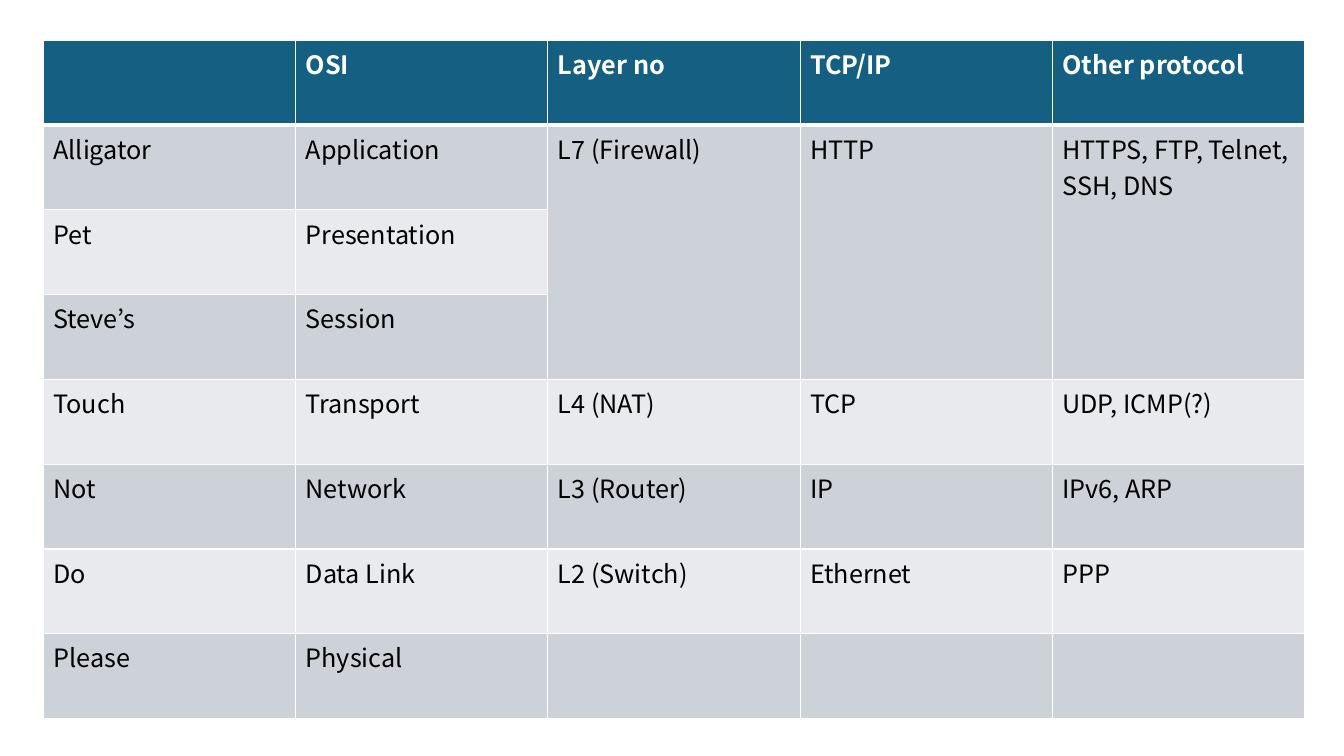
from lxml import etree
from pptx import Presentation
from pptx.dml.color import RGBColor
from pptx.oxml import ns
from pptx.util import Inches, Pt

FONT = "Noto Sans CJK KR"
WHITE, BLACK, HEADER = "FFFFFF", "000000", "156082"
BANDS = ("CCD2D8", "E8EAED")
LAYERS = [
    ("", "OSI", "Layer no", "TCP/IP", "Other protocol"),
    ("Alligator", "Application", "L7 (Firewall)", "HTTP", "HTTPS, FTP, Telnet, SSH, DNS"),
    ("Pet", "Presentation", "", "", ""),
    ("Steve’s", "Session", "", "", ""),
    ("Touch", "Transport", "L4 (NAT)", "TCP", "UDP, ICMP(?)"),
    ("Not", "Network", "L3 (Router)", "IP", "IPv6, ARP"),
    ("Do", "Data Link", "L2 (Switch)", "Ethernet", "PPP"),
    ("Please", "Physical", "", "", ""),
]


def color(value):
    """Turn a hex string into a colour."""
    return RGBColor.from_string(value)


def set_borders(cell, bottom_width):
    """Draw white lines around a cell, with its own bottom width."""
    properties = cell._tc.get_or_add_tcPr()
    for place, side in enumerate(("lnL", "lnR", "lnT", "lnB")):
        width = bottom_width if side == "lnB" else 1
        line = etree.Element(ns.qn(f"a:{side}"), w=str(Pt(width)))
        fill = etree.SubElement(line, ns.qn("a:solidFill"))
        etree.SubElement(fill, ns.qn("a:srgbClr"), val=WHITE)
        properties.insert(place, line)


def fill_cell(cell, words, row):
    """Write and format one cell according to its row."""
    is_header = row == 0
    cell.fill.solid()
    cell.fill.fore_color.rgb = color(HEADER if is_header else BANDS[(row - 1) % 2])
    set_borders(cell, 3 if is_header else 1)
    cell.text_frame.text = words
    font = cell.text_frame.paragraphs[0].font
    font.size = Pt(18)
    for run in cell.text_frame.paragraphs[0].runs:
        run.font.name = FONT
        run.font.size = Pt(18)
        run.font.bold = is_header
        run.font.color.rgb = color(WHITE if is_header else BLACK)


def add_layer_table(slide, left, top, width, height):
    """Place the table of network layers in the given box."""
    row_count, column_count = len(LAYERS), len(LAYERS[0])
    table = slide.shapes.add_table(
        row_count, column_count, Inches(left), Inches(top), Inches(width), Inches(height)
    ).table
    for column in table.columns:
        column.width = Inches(width / column_count)
    for row in table.rows:
        row.height = Inches(height / row_count)
    for row, layer in enumerate(LAYERS):
        for column, words in enumerate(layer):
            fill_cell(table.cell(row, column), words, row)
    for column in range(2, column_count):
        table.cell(1, column).merge(table.cell(3, column))


def main():
    """Build and save the slide."""
    deck = Presentation()
    deck.slide_width, deck.slide_height = Inches(13.33), Inches(7.5)
    slide = deck.slides.add_slide(deck.slide_layouts[6])
    add_layer_table(slide, 0.43, 0.4, 12.51, 6.73)
    deck.save("out.pptx")


if __name__ == "__main__":
    main()
